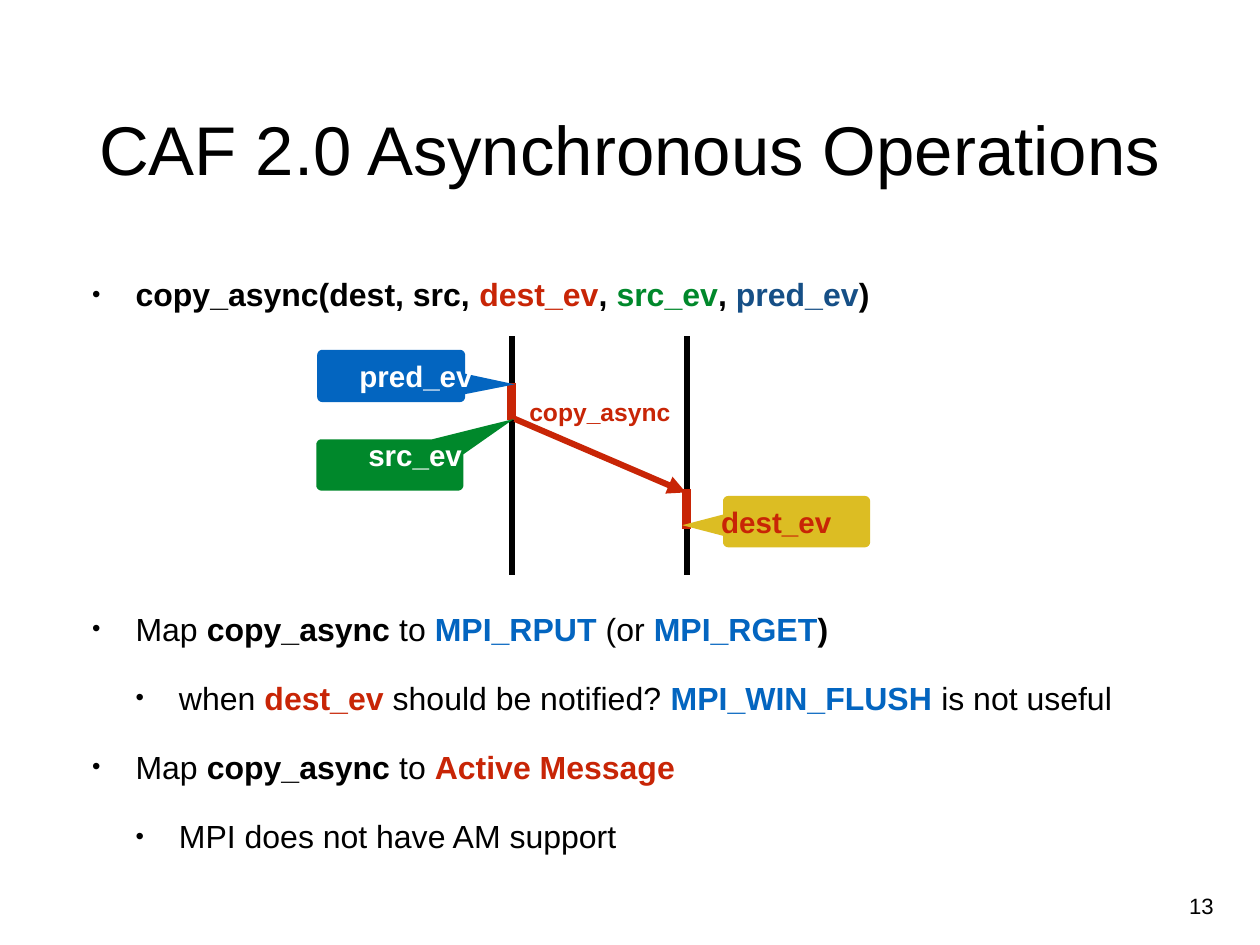
"""Build the slide on CAF 2.0 asynchronous operations."""
import dataclasses
import math

import lxml.etree
import pptx
import pptx.dml.color
import pptx.enum.shapes
import pptx.enum.text
import pptx.oxml.ns
import pptx.util

PX = 9144
MID = pptx.enum.text.PP_ALIGN.CENTER
LEFT = pptx.enum.text.PP_ALIGN.LEFT


@dataclasses.dataclass(frozen=True)
class Theme:
    face: str = "Arial"
    black: str = "000000"
    white: str = "FFFFFF"
    red: str = "C82506"
    green: str = "00882B"
    blue: str = "0365C0"
    navy: str = "164F86"
    gold: str = "DCBD23"
    title: int = 56
    body: int = 26
    tag: int = 24
    label: int = 20
    page: int = 18
    gap: int = 25


def put(item, vals):
    for name, val in vals.items():
        setattr(item, name, val)


def color(name):
    return pptx.dml.color.RGBColor.from_string(name)


def add(node, tag, **vals):
    return lxml.etree.SubElement(node, pptx.oxml.ns.qn(tag), **vals)


@dataclasses.dataclass
class Deck:
    theme: Theme
    slide: object

    def fill(self, frame, rows, size, align=MID, list_on=False, top=False):
        put(frame, {"word_wrap": True, "margin_left": 0, "margin_right": 0,
                    "margin_top": 0, "margin_bottom": 0,
                    "vertical_anchor": pptx.enum.text.MSO_ANCHOR.TOP if top
                    else pptx.enum.text.MSO_ANCHOR.MIDDLE})
        for num, (level, runs) in enumerate(rows):
            para = frame.add_paragraph() if num else frame.paragraphs[0]
            put(para, {"alignment": align, "level": level})
            if list_on:
                self.bullet(para, level)
            if num:
                para.space_before = pptx.util.Pt(self.theme.gap)
            for text, ink, bold in runs:
                run = para.add_run()
                run.text = text
                put(run.font, {"name": self.theme.face, "bold": bold,
                               "size": pptx.util.Pt(size)})
                run.font.color.rgb = color(ink)

    def bullet(self, para, level):
        step = 49 * PX
        props = para._p.get_or_add_pPr()
        props.set("marL", str(step * (level + 1)))
        props.set("indent", str(-step))
        add(props, "a:buSzPct", val="75000")
        add(props, "a:buFont", typeface=self.theme.face)
        add(props, "a:buChar", char="•")

    def text(self, box, rows, size, **opts):
        shape = self.slide.shapes.add_textbox(*(n * PX for n in box))
        self.fill(shape.text_frame, rows, size, **opts)

    def line(self, start, end, ink, width, head=False):
        ends = [n * PX for n in (*start, *end)]
        link = self.slide.shapes.add_connector(
            pptx.enum.shapes.MSO_CONNECTOR.STRAIGHT, *ends)
        link.line.color.rgb = color(ink)
        link.line.width = pptx.util.Pt(width)
        if head:
            add(link.line._get_or_add_ln(), "a:tailEnd", type="triangle")
        add(link._element.spPr, "a:effectLst")

    def callout(self, label, box, tail, order, back, ink):
        left, top, wide, high = box
        rad = 6
        hubs = [(left + rad, top + rad), (left + wide - rad, top + rad),
                (left + wide - rad, top + high - rad),
                (left + rad, top + high - rad)]
        dots = []
        for part in order:
            if part == "tail":
                dots += tail
                continue
            x, y = hubs[part]
            for step in range(7):
                turn = math.radians(180 + 90 * part + 15 * step)
                dots.append((x + rad * math.cos(turn),
                             y + rad * math.sin(turn)))
        dots = [(round(x * PX), round(y * PX)) for x, y in dots]
        pen = self.slide.shapes.build_freeform(*dots[0], scale=1.0)
        pen.add_line_segments(dots[1:], close=True)
        shape = pen.convert_to_shape()
        shape.shadow.inherit = False
        shape.fill.solid()
        shape.fill.fore_color.rgb = color(back)
        shape.line.fill.background()
        self.fill(shape.text_frame, [(0, [(label, ink, True)])],
                  self.theme.tag)


def main():
    show = pptx.Presentation()
    put(show, {"slide_width": 1422 * PX, "slide_height": 1067 * PX})
    t = Theme()
    deck = Deck(t, show.slides.add_slide(show.slide_layouts[6]))

    for x in (578, 775):
        deck.line((x, 649), (x, 379), t.black, 5)
    deck.text((591, 443, 172, 44), [(0, [("copy_async", t.red, True)])],
              t.label)
    deck.text((104, 49, 1214, 236),
              [(0, [("CAF 2.0 Asynchronous Operations", t.black, False)])],
              t.title)
    call = [("copy_async(dest, src, ", t.black, True),
            ("dest_ev", t.red, True), (", ", t.black, True),
            ("src_ev", t.green, True), (", ", t.black, True),
            ("pred_ev", t.navy, True), (")", t.black, True)]
    deck.text((104, 286, 1214, 92), [(0, call)], t.body,
              align=LEFT, list_on=True)
    deck.text((1336, 1008, 40, 42), [(0, [("13", t.black, False)])],
              t.page, top=True)

    deck.line((577, 432), (577, 474), t.red, 7)
    deck.line((775, 552), (775, 597), t.red, 7)
    deck.line((581, 473), (774, 556), t.red, 5, head=True)
    deck.callout("pred_ev", (358, 395, 167, 59),
                 [(525, 422), (581, 434), (525, 445)],
                 (0, 1, "tail", 2, 3), t.blue, t.white)
    deck.callout("src_ev", (357, 496, 166, 58),
                 [(488, 496), (580, 473), (523, 513)],
                 (0, "tail", 2, 3), t.green, t.white)
    deck.callout("dest_ev", (816, 560, 166, 58),
                 [(816, 605), (770, 593), (816, 581)],
                 (0, 1, 2, 3, "tail"), t.gold, t.red)

    lead = [("Map ", t.black, False), ("copy_async", t.black, True),
            (" to ", t.black, False)]
    rows = [
        (0, lead + [("MPI_RPUT", t.blue, True), (" (or ", t.black, False),
                    ("MPI_RGET", t.blue, True), (")", t.black, True)]),
        (1, [("when ", t.black, False), ("dest_ev", t.red, True),
             (" should be notified? ", t.black, False),
             ("MPI_WIN_FLUSH", t.blue, True),
             (" is not useful", t.black, False)]),
        (0, lead + [("Active Message", t.red, True)]),
        (1, [("MPI does not have AM support", t.black, False)]),
    ]
    deck.text((104, 676, 1214, 301), rows, t.body, align=LEFT, list_on=True)
    show.save("out.pptx")


if __name__ == "__main__":
    main()
